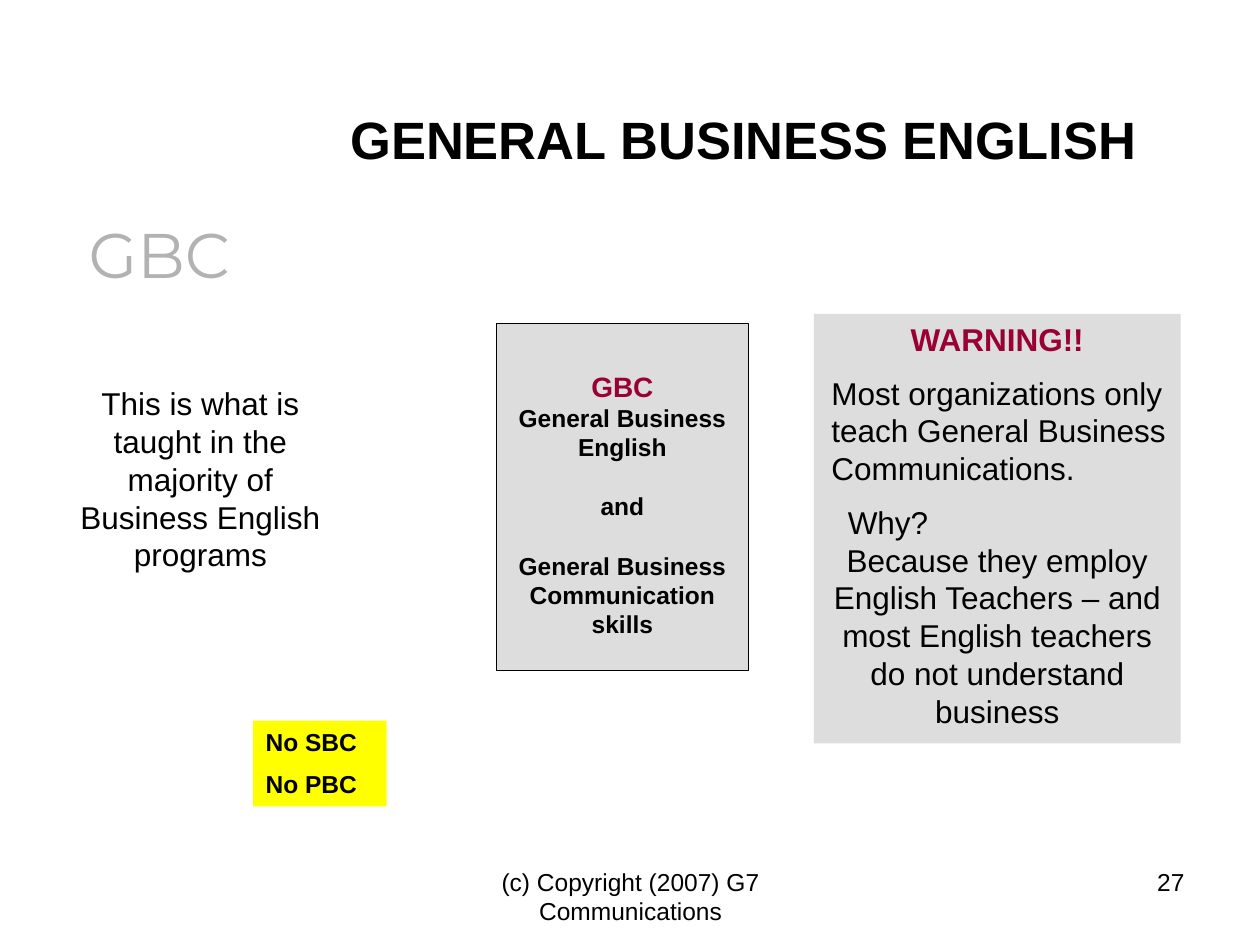
"""Builds the General Business English slide."""
from pptx import Presentation
from pptx.dml.color import RGBColor
from pptx.enum.shapes import MSO_SHAPE as Shape
from pptx.enum.text import MSO_ANCHOR as Anchor, MSO_AUTO_SIZE as AutoSize, PP_ALIGN as Align
from pptx.util import Inches, Pt

COLOURS = {"ink": "000000", "panel": "DDDDDD", "alert": "990033",
           "note": "FFFF00", "label": "B2B2B2"}


def colour(name):
    """Return the named colour."""
    return RGBColor.from_string(COLOURS[name])


class SlideBuilder:
    """Holds the style and the current slide."""

    def __init__(self, slide, font="Arial"):
        self.slide = slide
        self.font = font

    def set_lines(self, frame, lines, size, align=Align.LEFT, bold=False, font=None,
                  wrap=True, top=0.05):
        """Fill a text frame with (text, overrides) lines."""
        frame.word_wrap = wrap
        frame.auto_size = AutoSize.NONE
        frame.vertical_anchor = Anchor.TOP
        frame.margin_left = frame.margin_right = Inches(0.1)
        frame.margin_top, frame.margin_bottom = Inches(top), Inches(0.05)
        for index, (text, own) in enumerate(lines):
            paragraph = frame.paragraphs[0] if index == 0 else frame.add_paragraph()
            paragraph.text = text
            paragraph.alignment = own.get("align", align)
            paragraph.space_before = Pt(own.get("before", 0))
            if "indent" in own:
                properties = paragraph._p.get_or_add_pPr()
                properties.set("marL", str(Inches(own["indent"])))
            paragraph.font.name = font or self.font
            paragraph.font.size = Pt(own.get("size", size))
            paragraph.font.bold = own.get("bold", bold)
            paragraph.font.color.rgb = colour(own.get("colour", "ink"))

    def title(self, place, text, size):
        """Move and format the title placeholder."""
        heading = self.slide.shapes.title
        heading.left, heading.top, heading.width, heading.height = map(Inches, place)
        self.set_lines(heading.text_frame, [(text, {})], size, bold=True)

    def text(self, place, lines, size, **style):
        """Add a plain text box."""
        box = self.slide.shapes.add_textbox(*map(Inches, place))
        self.set_lines(box.text_frame, lines, size, **style)

    def panel(self, place, fill, lines, size, outline=None, **style):
        """Add a filled rectangle with text."""
        panel = self.slide.shapes.add_shape(Shape.RECTANGLE, *map(Inches, place))
        panel.shadow.inherit = False
        panel.fill.solid()
        panel.fill.fore_color.rgb = colour(fill)
        if outline:
            panel.line.color.rgb = colour(outline)
            panel.line.width = Pt(0.75)
        else:
            panel.line.fill.background()
        self.set_lines(panel.text_frame, lines, size, **style)


def main():
    """Build and save the slide."""
    deck = Presentation()
    deck.slide_width, deck.slide_height = Inches(10), Inches(7.5)
    page = SlideBuilder(deck.slides.add_slide(deck.slide_layouts[5]))

    page.text((3.42, 6.83, 3.17, 0.52),
              [("(c) Copyright (2007) G7 Communications", {})], 14, align=Align.CENTER)
    page.text((7.17, 6.83, 2.33, 0.52), [("27", {})], 14, align=Align.RIGHT)
    page.title((2.68, 0.8, 6.89, 0.6), "GENERAL BUSINESS ENGLISH", 30)

    page.panel((3.94, 2.57, 2, 2.75), "panel", [
        ("GBC", {"size": 16, "colour": "alert"}),
        ("General Business English", {}),
        ("and", {"before": 17}),
        ("General Business Communication skills", {"before": 17}),
    ], 14, outline="ink", align=Align.CENTER, bold=True, top=0.36)

    page.panel((2.01, 5.72, 1.06, 0.68), "note",
               [("No SBC", {}), ("No PBC", {"before": 7})], 14, bold=True)

    page.panel((6.46, 2.49, 2.91, 3.41), "panel", [
        ("WARNING!!", {"colour": "alert", "bold": True}),
        ("Most organizations only teach General Business Communications.",
         {"before": 9, "align": Align.LEFT, "indent": 0.04}),
        ("Why?", {"before": 9, "align": Align.LEFT, "indent": 0.17}),
        ("Because they employ English Teachers – and most English teachers "
         "do not understand business", {}),
    ], 18, align=Align.CENTER)

    page.text((0.67, 1.66, 1.19, 0.71), [("GBC", {"colour": "label"})], 36,
              align=Align.CENTER, font="Montserrat", wrap=False)
    page.text((0.47, 3, 2.24, 1.6),
              [("This is what is taught in the majority of Business English programs", {})],
              18, align=Align.CENTER)

    deck.save("out.pptx")


if __name__ == "__main__":
    main()
